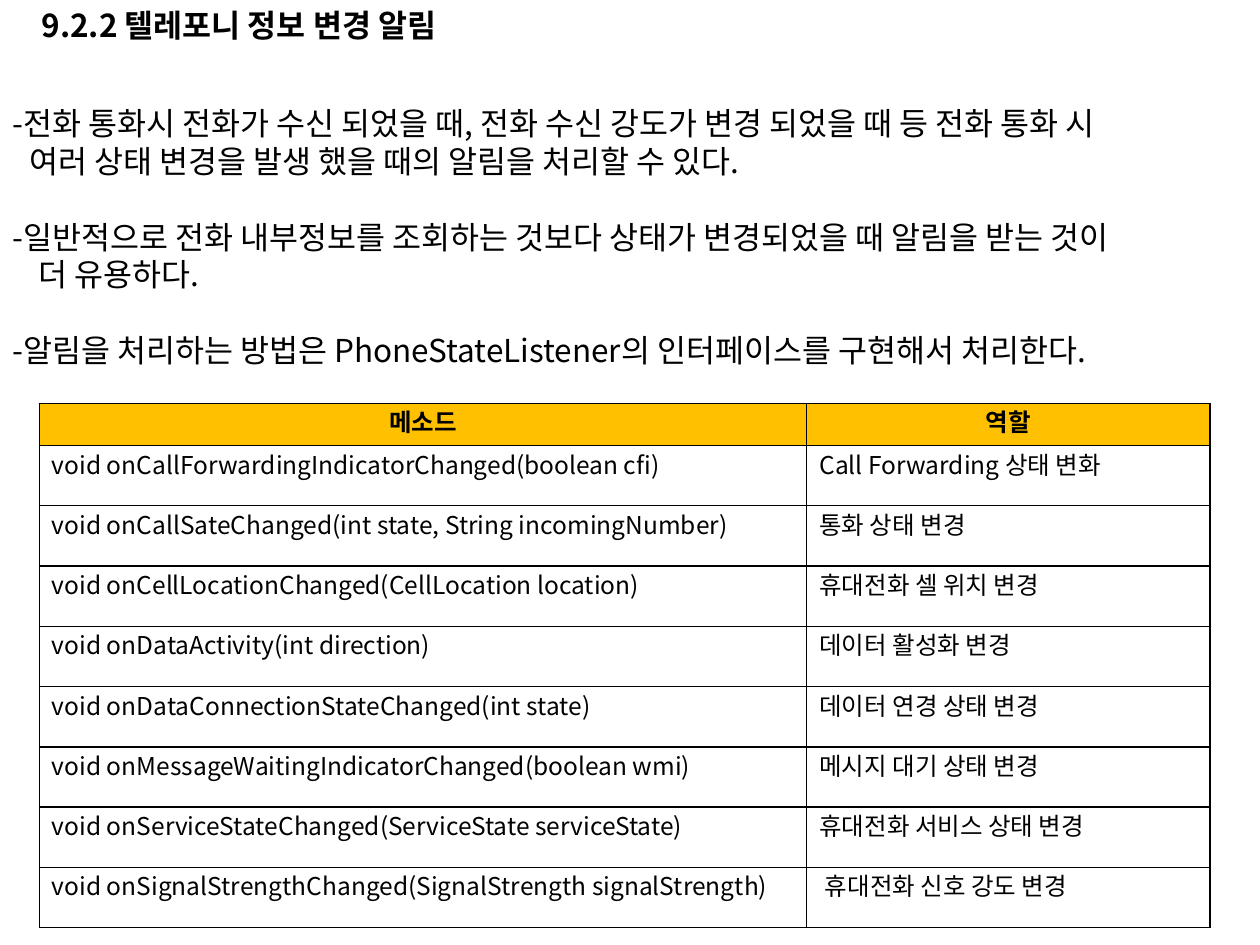
from lxml.etree import SubElement
from pptx import Presentation
from pptx.dml.color import RGBColor
from pptx.enum.text import MSO_ANCHOR, MSO_AUTO_SIZE, PP_ALIGN
from pptx.oxml import parse_xml
from pptx.oxml.ns import nsdecls, qn
from pptx.util import Pt

FACE = "Noto Sans CJK KR"
INK = "000000"
GOLD = "FFC000"

# text and hanging indent of its second line
NOTES = [
    ("-전화 통화시 전화가 수신 되었을 때, 전화 수신 강도가 변경 되었을 때 등 전화 통화 시\v"
     "여러 상태 변경을 발생 했을 때의 알림을 처리할 수 있다.", 9.5),
    ("-일반적으로 전화 내부정보를 조회하는 것보다 상태가 변경되었을 때 알림을 받는 것이\v"
     "더 유용하다.", 15),
    ("-알림을 처리하는 방법은 PhoneStateListener의 인터페이스를 구현해서 처리한다.", 9.5),
]
HEADS = ("메소드", "역할")
ROWS = [
    ("void onCallForwardingIndicatorChanged(boolean cfi)", "Call Forwarding 상태 변화"),
    ("void onCallSateChanged(int state, String incomingNumber)", "통화 상태 변경"),
    ("void onCellLocationChanged(CellLocation location)", "휴대전화 셀 위치 변경"),
    ("void onDataActivity(int direction)", "데이터 활성화 변경"),
    ("void onDataConnectionStateChanged(int state)", "데이터 연경 상태 변경"),
    ("void onMessageWaitingIndicatorChanged(boolean wmi)", "메시지 대기 상태 변경"),
    ("void onServiceStateChanged(ServiceState serviceState)", "휴대전화 서비스 상태 변경"),
    ("void onSignalStrengthChanged(SignalStrength signalStrength)", "휴대전화 신호 강도 변경"),
]


def color(code):
    return RGBColor.from_string(code)


def write(para, text, size, bold=False, align=PP_ALIGN.LEFT):
    para.text = text
    para.alignment = align
    para.line_spacing = Pt(size * 1.2)
    for run in para.runs:
        look = {"name": FACE, "size": Pt(size), "bold": bold}
        for key, value in look.items():
            setattr(run.font, key, value)
        run.font.color.rgb = color(INK)
        SubElement(run.font._element, qn("a:ea"), typeface=FACE)


def set_frame(frame):
    look = {"word_wrap": True, "auto_size": MSO_AUTO_SIZE.NONE,
            "vertical_anchor": MSO_ANCHOR.TOP}
    for key, value in look.items():
        setattr(frame, key, value)


def add_title(slide, text):
    title = slide.shapes.title
    place = {"left": 16.5, "top": 0, "width": 669.5, "height": 28.8}
    for key, value in place.items():
        setattr(title, key, Pt(value))
    set_frame(title.text_frame)
    write(title.text_frame.paragraphs[0], text, 18, bold=True)


def add_notes(slide):
    box = slide.shapes.add_textbox(Pt(0), Pt(56), Pt(793.5), Pt(160))
    frame = box.text_frame
    set_frame(frame)
    for index, (text, hang) in enumerate(NOTES):
        para = frame.add_paragraph() if index else frame.paragraphs[0]
        write(para, text, 18)
        props = para._p.get_or_add_pPr()
        props.set("marL", str(Pt(hang)))
        props.set("indent", str(-Pt(hang)))
        if index:
            para.space_before = Pt(21.6)


def add_edges(cell):
    props = cell._tc.get_or_add_tcPr()
    for index, side in enumerate("LRTB"):
        edge = parse_xml(
            f'<a:ln{side} {nsdecls("a")} w="{Pt(1)}"><a:solidFill>'
            f'<a:srgbClr val="{INK}"/></a:solidFill></a:ln{side}>')
        props.insert(index, edge)


def add_grid(slide):
    rows = [HEADS] + ROWS
    tall = [24] + [34.45] * len(ROWS)
    wide = [438.5, 230.5]
    grid = slide.shapes.add_table(len(rows), len(wide), Pt(22.5), Pt(230.5),
                                  Pt(sum(wide)), Pt(sum(tall))).table
    grid.first_row = grid.horz_banding = False
    for col, width in zip(grid.columns, wide):
        col.width = Pt(width)
    for index, (row, texts) in enumerate(zip(grid.rows, rows)):
        row.height = Pt(tall[index])
        head = index == 0
        for cell, text in zip(row.cells, texts):
            align = PP_ALIGN.CENTER if head else PP_ALIGN.LEFT
            write(cell.text_frame.paragraphs[0], text, 14, head, align)
            if head:
                cell.fill.solid()
                cell.fill.fore_color.rgb = color(GOLD)
            else:
                cell.fill.background()
            add_edges(cell)
    grid.cell(len(ROWS), 1).margin_left = Pt(10.4)


def main():
    deck = Presentation()
    deck.slide_width, deck.slide_height = Pt(720), Pt(540)
    slide = deck.slides.add_slide(deck.slide_layouts[5])
    add_title(slide, "9.2.2 텔레포니 정보 변경 알림")
    add_notes(slide)
    add_grid(slide)
    deck.save("out.pptx")


if __name__ == "__main__":
    main()
